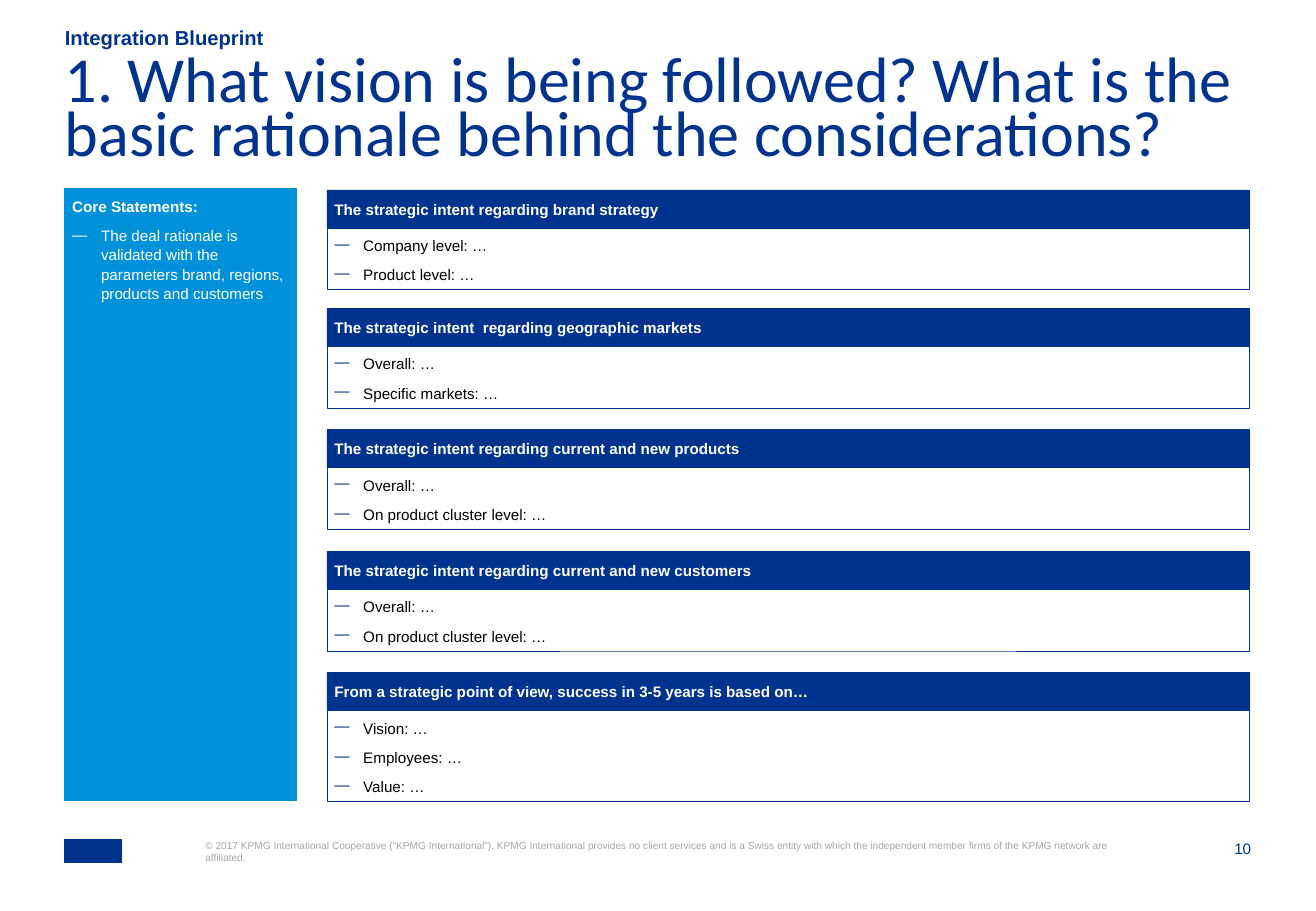
from lxml import etree
from pptx import Presentation
from pptx.dml.color import RGBColor
from pptx.enum import shapes, text
from pptx.oxml import ns
from pptx.util import Pt

NAVY, BLUE, WHITE, BLACK, GREY = '00338D', '0091DA', 'FFFFFF', '000000', 'A6A6A6'

KICKER = 'Integration Blueprint'
TITLE = '1. What vision is being followed? What is the basic rationale behind the considerations?'
CORE = ['Core Statements:',
        'The deal rationale is validated with the parameters brand, regions, products and customers']
CARDS = [
    ('The strategic intent regarding brand strategy',
     ['Company level: …', 'Product level: …'], 10.9),
    ('The strategic intent  regarding geographic markets',
     ['Overall: …', 'Specific markets: …'], 12.8),
    ('The strategic intent regarding current and new products',
     ['Overall: …', 'On product cluster level: …'], 12.8),
    ('The strategic intent regarding current and new customers',
     ['Overall: …', 'On product cluster level: …'], 12.8),
    ('From a strategic point of view, success in 3-5 years is based on…',
     ['Vision: …', 'Employees: …', 'Value: …'], 0),
]
COPYRIGHT = ('© 2017 KPMG International Cooperative (“KPMG International”). KPMG International '
             'provides no client services and is a Swiss entity with which the independent member '
             'firms of the KPMG network are affiliated.')
PAGE = '10'

LEFT, CARD_LEFT, CARD_WIDTH = 38.4, 193.8, 546.5
CARD_TOP, HEAD_HEIGHT = 112.6, 22.6
INSET, LINE, GAP_AFTER, INDENT = 4.4, 10.9, 6, 17.1


def rgb(code):
    return RGBColor.from_string(code)


def place(sp, left, top, width, height):
    sp.left, sp.top, sp.width, sp.height = Pt(left), Pt(top), Pt(width), Pt(height)


def paint(sp, fill, line, weight):
    sp.fill.solid()
    sp.fill.fore_color.rgb = rgb(fill)
    sp.line.color.rgb = rgb(line)
    sp.line.width = Pt(weight)


def set_bullet(p, color=None):
    pPr = p._p.get_or_add_pPr()
    indent = Pt(INDENT) if color else 0
    pPr.set('marL', str(indent))
    pPr.set('indent', str(-indent))
    if color:
        clr = etree.SubElement(pPr, ns.qn('a:buClr'))
        etree.SubElement(clr, ns.qn('a:srgbClr'), val=color)
        etree.SubElement(pPr, ns.qn('a:buChar'), char='—')
    else:
        etree.SubElement(pPr, ns.qn('a:buNone'))


def write(sp, lines, size, color, font='Arial', bold=False, inset=0, after=0,
          spacing=1.0, align=text.PP_ALIGN.LEFT, anchor=text.MSO_ANCHOR.TOP, bullets=None):
    tf = sp.text_frame
    tf.text = '\n'.join(lines)
    tf.word_wrap = True
    tf.auto_size = text.MSO_AUTO_SIZE.NONE
    tf.vertical_anchor = anchor
    tf.margin_left = tf.margin_top = tf.margin_right = tf.margin_bottom = Pt(inset)
    for p in tf.paragraphs:
        set_bullet(p, bullets)
        p.alignment = align
        p.line_spacing = spacing
        p.space_before, p.space_after = Pt(0), Pt(after)
        for r in p.runs:
            r.font.name, r.font.size, r.font.bold = font, Pt(size), bold
            r.font.color.rgb = rgb(color)
    return tf


def add_box(s, left, top, width, height, fill, line, weight=0.5):
    sp = s.shapes.add_shape(shapes.MSO_SHAPE.RECTANGLE, Pt(left), Pt(top), Pt(width), Pt(height))
    sp.shadow.inherit = False
    paint(sp, fill, line, weight)
    return sp


def add_label(s, left, top, width, height, label, size, color, **style):
    sp = s.shapes.add_textbox(Pt(left), Pt(top), Pt(width), Pt(height))
    write(sp, [label], size, color, **style)


def add_card(s, top, heading, points):
    head = add_box(s, CARD_LEFT, top, CARD_WIDTH, HEAD_HEIGHT, NAVY, NAVY)
    write(head, [heading], 9, WHITE, bold=True, inset=INSET, anchor=text.MSO_ANCHOR.MIDDLE)
    height = 2 * INSET + len(points) * LINE + (len(points) - 1) * GAP_AFTER
    body = add_box(s, CARD_LEFT, top + HEAD_HEIGHT, CARD_WIDTH, height, WHITE, NAVY)
    write(body, points, 9, BLACK, inset=INSET, after=GAP_AFTER, spacing=1.05, bullets=NAVY)
    return top + HEAD_HEIGHT + height


def main():
    prs = Presentation()
    prs.slide_width, prs.slide_height = Pt(780), Pt(540)
    s = prs.slides.add_slide(prs.slide_layouts[3])
    title, core, kicker = s.placeholders

    place(title, LEFT, 35.3, 702, 56.9)
    write(title, [TITLE], 38, NAVY, font='Calibri', spacing=0.7)
    place(kicker, LEFT, 15.8, 676.8, 13.7)
    write(kicker, [KICKER], 12, NAVY, bold=True, anchor=text.MSO_ANCHOR.BOTTOM)

    place(core, LEFT, 112, 137.5, 362.5)
    paint(core, BLUE, BLUE, 0.75)
    tf = write(core, CORE[:1], 9, WHITE, bold=True, inset=INSET, after=GAP_AFTER, spacing=1.05)
    p = tf.add_paragraph()
    p.text = CORE[1]
    set_bullet(p, WHITE)
    p.line_spacing, p.space_before, p.space_after = 1.05, Pt(0), Pt(GAP_AFTER)
    r = p.runs[0]
    r.font.name, r.font.size, r.font.color.rgb = 'Arial', Pt(9), rgb(WHITE)

    top = CARD_TOP
    for heading, points, gap in CARDS:
        top = add_card(s, top, heading, points) + gap

    add_box(s, LEFT, 497.5, 33.5, 13.7, NAVY, NAVY)
    add_label(s, 121.7, 497.5, 539.3, 29.5, COPYRIGHT, 6, GREY)
    add_label(s, 710.6, 497.5, 31, 11.5, PAGE, 9, NAVY, align=text.PP_ALIGN.RIGHT)
    prs.save("out.pptx")


if __name__ == "__main__":
    main()
